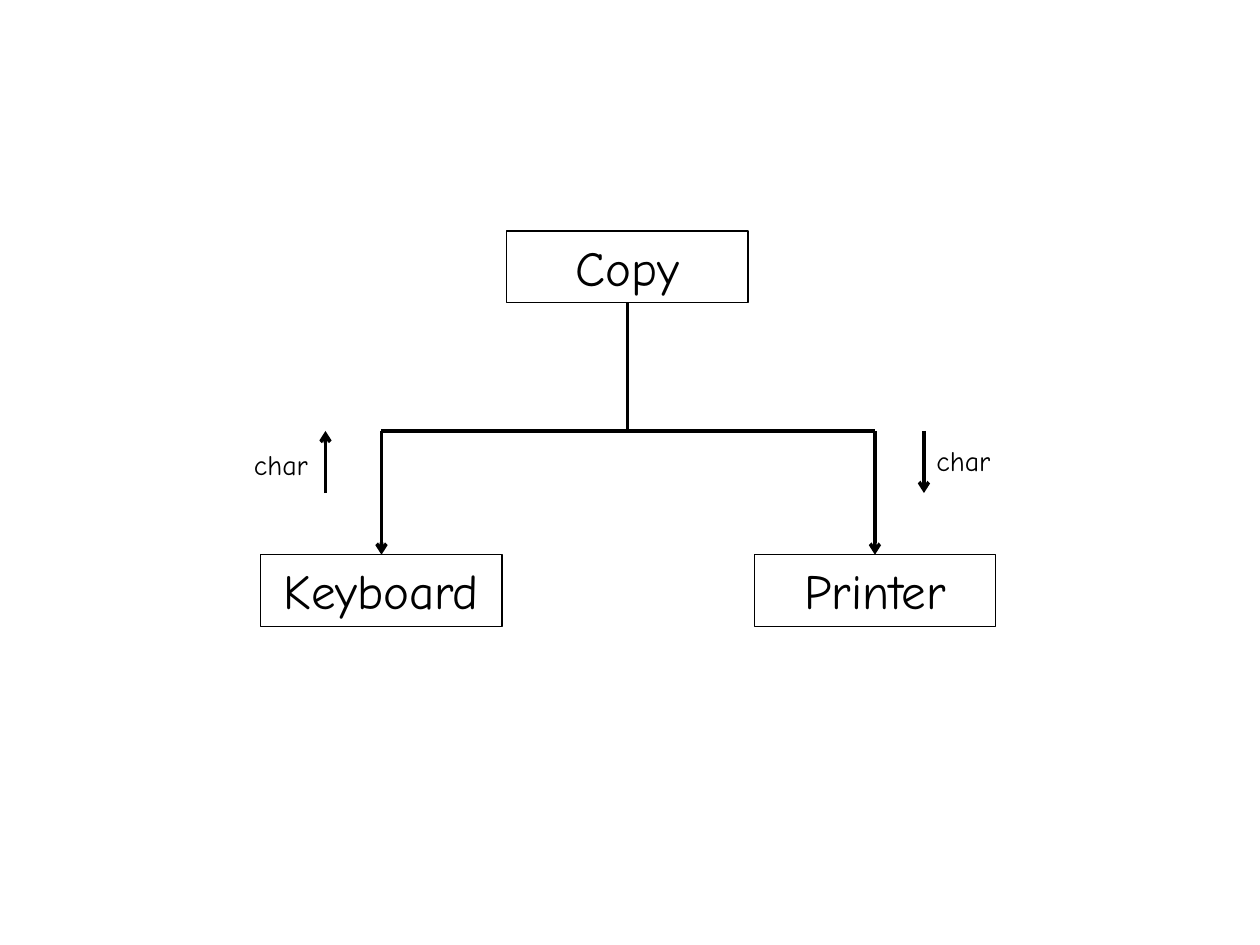
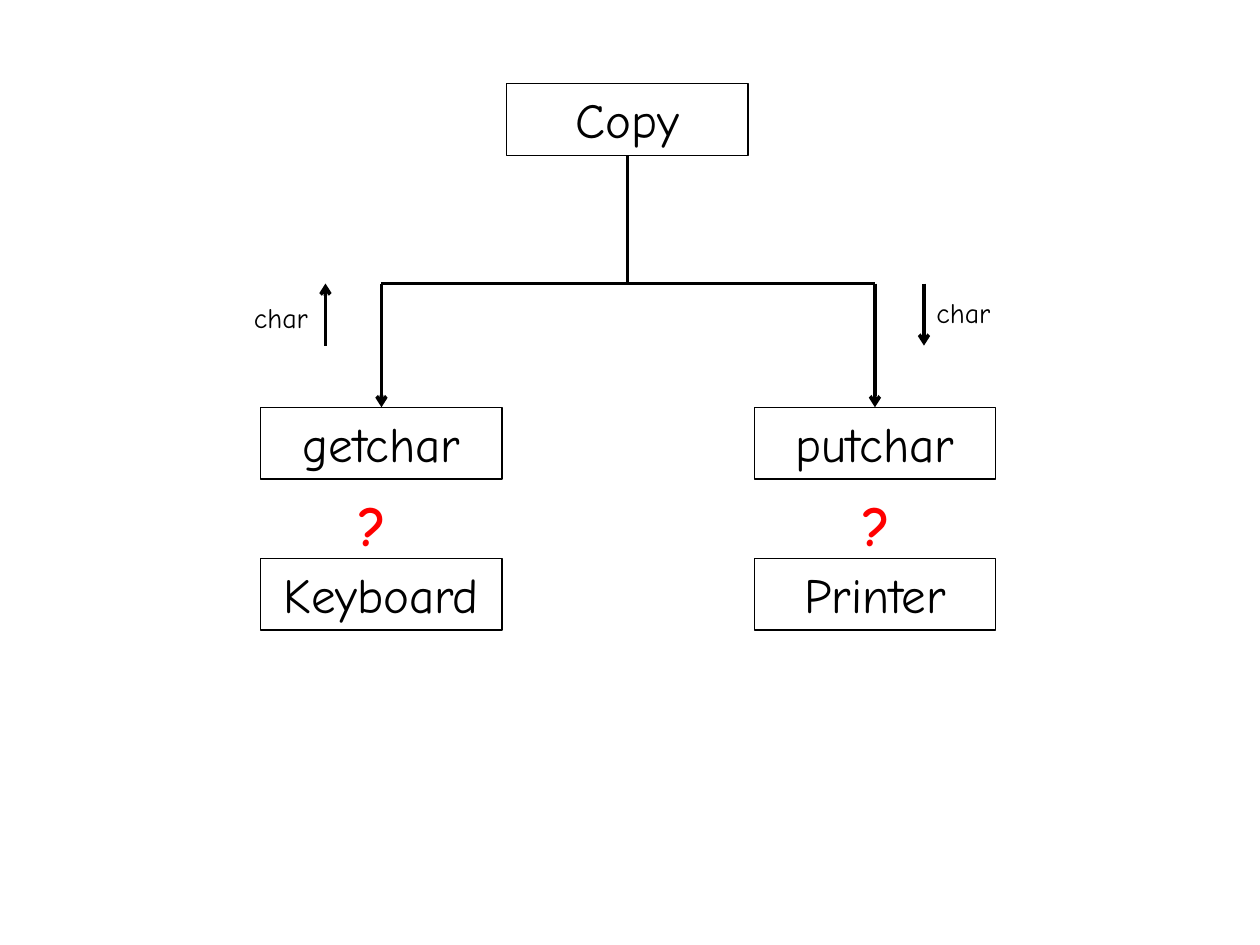
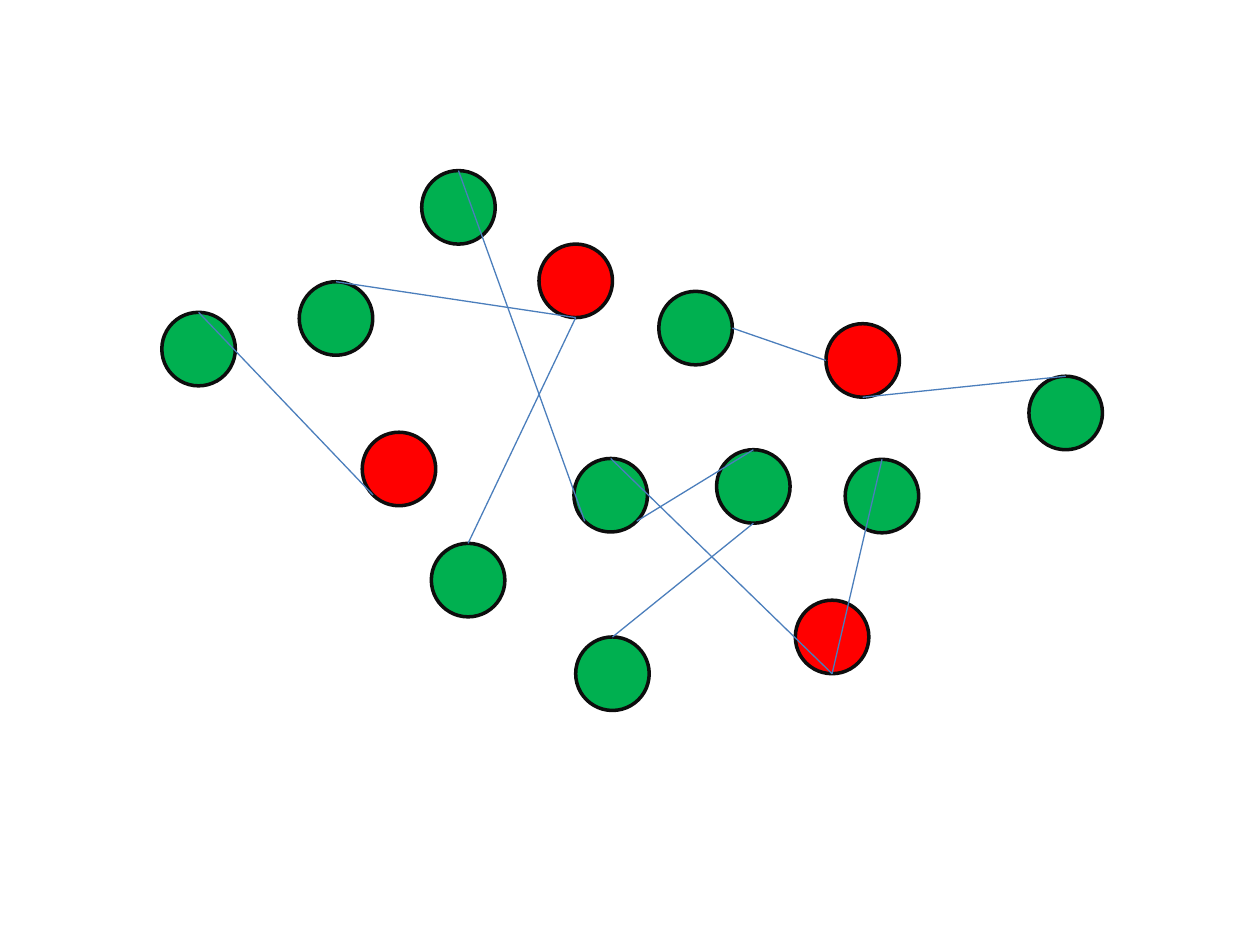
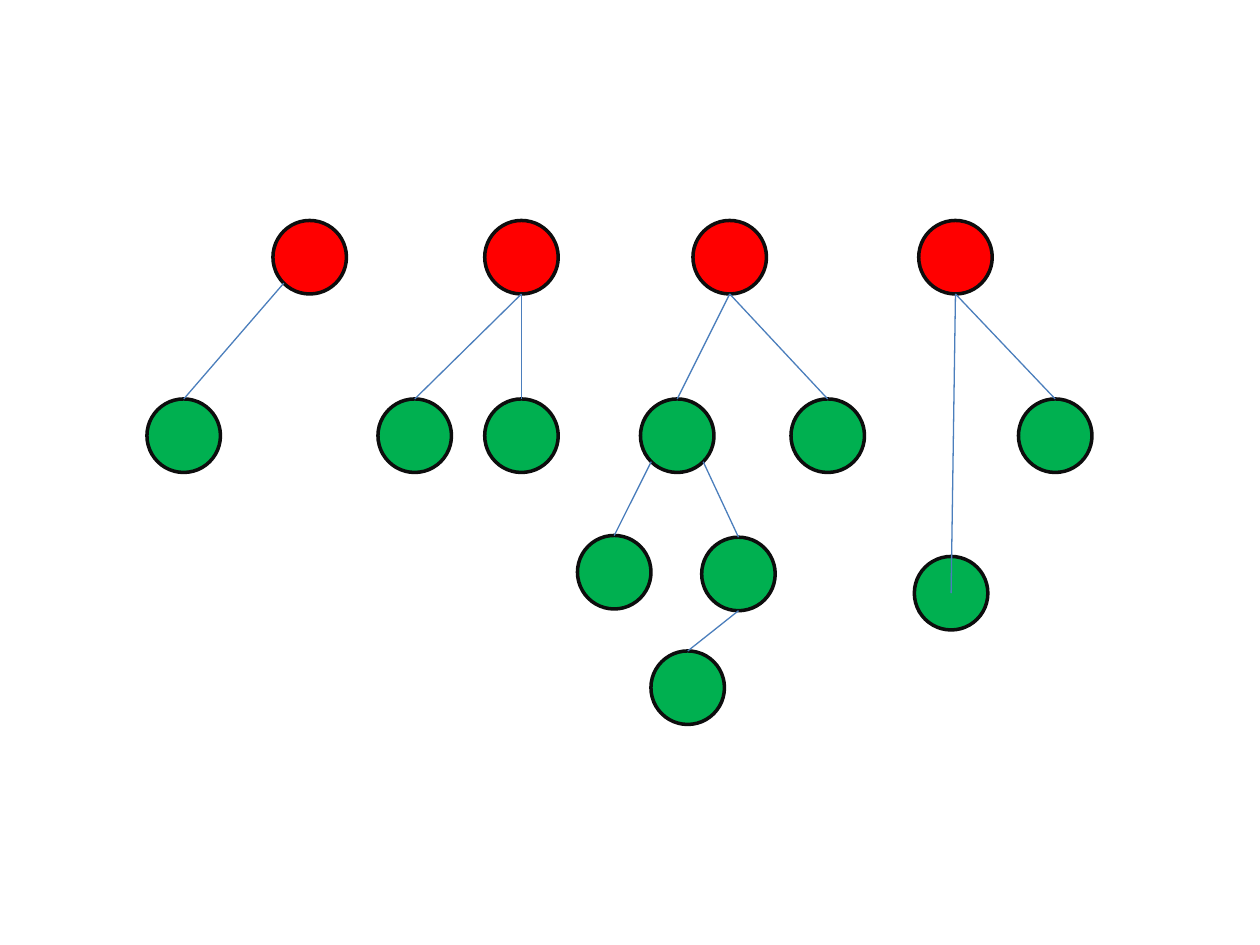
from math import cos, radians, sin

from lxml.etree import SubElement
from pptx import Presentation
from pptx.dml.color import RGBColor
from pptx.enum.shapes import MSO_CONNECTOR as Connector, MSO_SHAPE as Shape
from pptx.enum.text import MSO_ANCHOR as Anchor, MSO_AUTO_SIZE as AutoSize, PP_ALIGN as Align
from pptx.oxml.ns import qn
from pptx.util import Pt

BLACK = RGBColor(0x00, 0x00, 0x00)
OUTLINE = RGBColor(0x0D, 0x0D, 0x0D)
RED = RGBColor(0xFF, 0x00, 0x00)
GREEN = RGBColor(0x00, 0xB0, 0x50)
BLUE = RGBColor(0x4B, 0x7E, 0xBC)

FONT = "Comic Neue"
BLANK_LAYOUT = 6
BOX_WIDTH, BOX_HEIGHT = 138, 41
RADIUS = 21

# Column centres of the structure charts
LEFT_X, MIDDLE_X, RIGHT_X = 218, 358.5, 500

# Places on a circle where an edge can end, as angles clockwise from the right
SITE_ANGLES = {
    "right": 0, "bottom right": 45, "bottom": 90, "bottom left": 135,
    "left": 180, "top": 270,
}

SCATTERED_NODES = {
    "red 1": (228, 268), "red 2": (329, 160.5), "red 3": (475.5, 364),
    "red 4": (493, 206), "green 1": (113.5, 199.5), "green 2": (192, 182),
    "green 3": (267.5, 331.5), "green 4": (349, 283), "green 5": (504, 283.5),
    "green 6": (262, 118.5), "green 7": (430.5, 278), "green 8": (350, 385),
    "green 9": (609, 236), "green 10": (397.5, 187.5),
}
SCATTERED_EDGES = [
    ("green 1", "top", "red 1", "bottom left"),
    ("red 2", "bottom", "green 3", "top"),
    ("red 2", "bottom", "green 2", "top"),
    ("red 3", "bottom", "green 4", "top"),
    ("red 3", "bottom", "green 5", "top"),
    ("green 4", "bottom left", "green 6", "top"),
    ("green 4", "bottom right", "green 7", "top"),
    ("green 7", "bottom", "green 8", "top"),
    ("red 4", "bottom", "green 9", "top"),
    ("red 4", "left", "green 10", "right"),
]

ROOT_Y, CHILD_Y = 147, 249
TREE_NODES = {
    "red 1": (177, ROOT_Y), "red 2": (298, ROOT_Y), "red 3": (417, ROOT_Y),
    "red 4": (546, ROOT_Y), "green 1": (105, CHILD_Y), "green 2": (237, CHILD_Y),
    "green 3": (298, CHILD_Y), "green 4": (387, CHILD_Y), "green 5": (473, CHILD_Y),
    "green 6": (351, 327), "green 7": (422, 328), "green 8": (393, 393),
    "green 9": (603, CHILD_Y), "green 10": (543.5, 339),
}
TREE_EDGES = [
    ("green 1", "top", "red 1", "bottom left"),
    ("red 2", "bottom", "green 3", "top"),
    ("red 2", "bottom", "green 2", "top"),
    ("red 3", "bottom", "green 4", "top"),
    ("red 3", "bottom", "green 5", "top"),
    ("green 4", "bottom left", "green 6", "top"),
    ("green 4", "bottom right", "green 7", "top"),
    ("green 7", "bottom", "green 8", "top"),
    ("red 4", "bottom", "green 10", "centre"),
    ("red 4", "bottom", "green 9", "top"),
]


def site_point(centre, site):
    """Return the point of a node where an edge ends."""
    x, y = centre
    if site == "centre":
        return centre
    angle = radians(SITE_ANGLES[site])
    return x + RADIUS * cos(angle), y + RADIUS * sin(angle)


class Deck:
    """Holds the style and the slide being drawn; lengths are in points."""

    def __init__(self):
        self.presentation = Presentation()
        self.presentation.slide_width = Pt(720)
        self.presentation.slide_height = Pt(540)
        self.slide = None

    def new_slide(self):
        layout = self.presentation.slide_layouts[BLANK_LAYOUT]
        self.slide = self.presentation.slides.add_slide(layout)

    def set_text(self, shape, text, size, color=BLACK, bold=False, align=Align.LEFT):
        frame = shape.text_frame
        frame.word_wrap = True
        frame.auto_size = AutoSize.SHAPE_TO_FIT_TEXT
        frame.vertical_anchor = Anchor.TOP
        paragraph = frame.paragraphs[0]
        paragraph.text = text
        paragraph.alignment = align
        font = paragraph.font
        font.name, font.size, font.bold = FONT, Pt(size), bold
        font.color.rgb = color

    def outlined(self, kind, left, top, width, height, color, weight):
        shape = self.slide.shapes.add_shape(
            kind, Pt(left), Pt(top), Pt(width), Pt(height))
        shape.shadow.inherit = False
        shape.line.color.rgb = color
        shape.line.width = Pt(weight)
        return shape

    def box(self, text, centre_x, top):
        shape = self.outlined(Shape.RECTANGLE, centre_x - BOX_WIDTH / 2, top,
                              BOX_WIDTH, BOX_HEIGHT, BLACK, 0.75)
        shape.fill.background()
        self.set_text(shape, text, 28, align=Align.CENTER)
        return shape

    def node(self, centre, color):
        x, y = centre
        shape = self.outlined(Shape.OVAL, x - RADIUS, y - RADIUS,
                              2 * RADIUS, 2 * RADIUS, OUTLINE, 2)
        shape.fill.solid()
        shape.fill.fore_color.rgb = color

    def label(self, text, left, top, width, height, size, color=BLACK, bold=False):
        shape = self.slide.shapes.add_textbox(
            Pt(left), Pt(top), Pt(width), Pt(height))
        self.set_text(shape, text, size, color, bold)

    def line(self, start, end, color=BLACK, weight=2, arrow=False):
        connector = self.slide.shapes.add_connector(
            Connector.STRAIGHT, *(Pt(length) for length in (*start, *end)))
        connector.line.color.rgb = color
        connector.line.width = Pt(weight)
        properties = connector._element.spPr
        if arrow:
            SubElement(properties.find(qn("a:ln")), qn("a:tailEnd"), type="arrow")
        SubElement(properties, qn("a:effectLst"))
        return connector

    def structure_chart(self, top, left_name, right_name):
        """Draw Copy over two modules, with the char each one passes."""
        bar_y, module_y = top + 114.25, top + 185
        copy_box = self.box("Copy", MIDDLE_X, top)
        modules = [(self.box(name, x, module_y), x)
                   for name, x in ((left_name, LEFT_X), (right_name, RIGHT_X))]

        self.line((LEFT_X, bar_y), (RIGHT_X, bar_y))
        stem = self.line((MIDDLE_X, top + BOX_HEIGHT), (MIDDLE_X, bar_y))
        stem.begin_connect(copy_box, 2)
        for module, x in modules:
            branch = self.line((x, bar_y), (x, module_y), arrow=True)
            branch.end_connect(module, 0)

        flow_end = bar_y + 35.5
        self.line((186, flow_end), (186, bar_y), arrow=True)
        self.line((528, bar_y), (528, flow_end), arrow=True)
        self.label("char", 528, bar_y + 3.5, 54, 27, 16)
        self.label("char", 138, bar_y + 6, 54, 27, 16)

    def graph(self, nodes, edges):
        for name, centre in nodes.items():
            self.node(centre, RED if name.startswith("red") else GREEN)
        for start, start_site, end, end_site in edges:
            self.line(site_point(nodes[start], start_site),
                      site_point(nodes[end], end_site), BLUE, 0.75)


def main():
    deck = Deck()

    deck.new_slide()
    deck.structure_chart(132, "Keyboard", "Printer")

    deck.new_slide()
    deck.structure_chart(47.75, "getchar", "putchar")
    for name, x in (("Keyboard", LEFT_X), ("Printer", RIGHT_X)):
        deck.box(name, x, 319)
    for left in (198, 486):
        deck.label("?", left, 276.5, 30, 46, 32, RED, bold=True)

    for nodes, edges in ((SCATTERED_NODES, SCATTERED_EDGES), (TREE_NODES, TREE_EDGES)):
        deck.new_slide()
        deck.graph(nodes, edges)

    deck.presentation.save("out.pptx")


if __name__ == "__main__":
    main()
